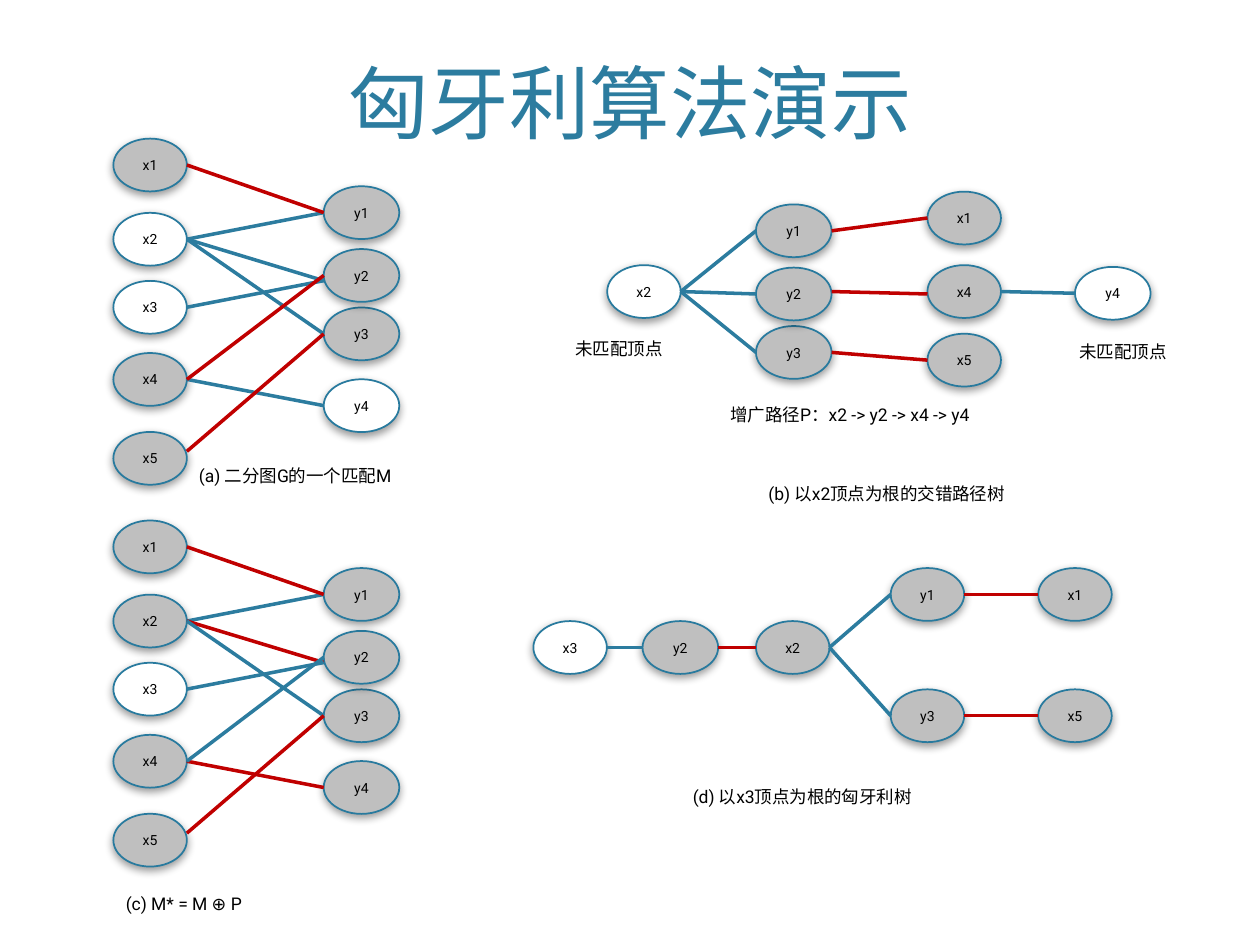
from lxml import etree
from pptx import Presentation
from pptx import util as u
from pptx.dml.color import RGBColor
from pptx.enum import shapes, text
from pptx.oxml import ns

Pt = u.Pt


def colour(value):
    return RGBColor.from_string(value)


class Sketch:
    FONT = "Roboto"
    BLUE, RED, OUTLINE = "2C7C9F", "C00000", "287A9E"
    GREY, WHITE, BLACK = "BFBFBF", "FFFFFF", "000000"
    NODE_HEIGHT = 30.2

    def __init__(self, page):
        self.page = page

    def set_text(self, frame, words, size, ink, align):
        frame.word_wrap = True
        para = frame.paragraphs[0]
        para.text = words
        para.alignment = align
        para.font.name = self.FONT
        para.font.size = Pt(size)
        para.font.color.rgb = colour(ink)

    def label(self, words, left, top, width, height=19.4, size=10,
              ink=BLACK, align=text.PP_ALIGN.LEFT,
              anchor=text.MSO_ANCHOR.TOP):
        box = self.page.shapes.add_textbox(
            Pt(left), Pt(top), Pt(width), Pt(height))
        box.text_frame.vertical_anchor = anchor
        self.set_text(box.text_frame, words, size, ink, align)

    def node(self, name, left, middle, width, free):
        oval = self.page.shapes.add_shape(
            shapes.MSO_SHAPE.OVAL, Pt(left),
            Pt(middle - self.NODE_HEIGHT / 2), Pt(width), Pt(self.NODE_HEIGHT))
        oval.fill.solid()
        oval.fill.fore_color.rgb = colour(self.WHITE if free else self.GREY)
        oval.line.color.rgb = colour(self.OUTLINE)
        oval.line.width = Pt(1)
        self.shadow(oval)
        oval.text_frame.vertical_anchor = text.MSO_ANCHOR.MIDDLE
        self.set_text(oval.text_frame, name, 8, self.BLACK,
                      text.PP_ALIGN.CENTER)

    def shadow(self, shape):
        shape.shadow.inherit = False
        effects = shape._element.spPr.find(ns.qn("a:effectLst"))
        outer = etree.SubElement(
            effects, ns.qn("a:outerShdw"), blurRad=str(Pt(5)),
            dist=str(Pt(2)), dir="5400000", rotWithShape="0")
        tint = etree.SubElement(outer, ns.qn("a:srgbClr"), val=self.BLACK)
        etree.SubElement(tint, ns.qn("a:alpha"), val="40000")

    def edge(self, start, end, matched):
        line = self.page.shapes.add_connector(
            shapes.MSO_CONNECTOR.STRAIGHT, *[Pt(v) for v in (*start, *end)])
        line.line.color.rgb = colour(self.RED if matched else self.BLUE)
        line.line.width = Pt(2)
        etree.SubElement(line._element.spPr, ns.qn("a:effectLst"))

    def graph(self, nodes, edges, free, matched, nudges):
        """Edges run from right side to left side; nudges shift their ends."""
        for name, (left, middle, width) in nodes.items():
            self.node(name, left, middle, width, name in free)
        for pair in edges.split():
            first, last = pair.split("-")
            left, middle, width = nodes[first]
            end_left, end_middle, _ = nodes[last]
            rise, fall = nudges.get(pair, (0, 0))
            self.edge((left + width, middle + rise),
                      (end_left, end_middle + fall), pair in matched.split())


X_WIDTH, Y_WIDTH = 42, 43.2


def bipartite_nodes(shift):
    left = {"x1": 94.3, "x2": 136.7, "x3": 175.6, "x4": 216.8, "x5": 261.9}
    right = {"y4": 231.8, "y3": 190.8, "y2": 157.4, "y1": 121.5}
    return ({n: (64.8, y + shift, X_WIDTH) for n, y in left.items()}
            | {n: (185, y + shift, Y_WIDTH) for n, y in right.items()})


def main():
    deck = Presentation()
    deck.slide_width, deck.slide_height = Pt(720), Pt(540)
    page = deck.slides.add_slide(deck.slide_layouts[6])
    sketch = Sketch(page)

    # Title
    sketch.label("匈牙利算法演示", 43.2, 8.6, 633.6, 80.6, 46, Sketch.BLUE,
                 text.PP_ALIGN.CENTER, text.MSO_ANCHOR.BOTTOM)

    # (a) and (c): the bipartite graph before and after augmenting
    edges = "x2-y1 x2-y2 x3-y2 x2-y3 x4-y4 x1-y1 x4-y2 x5-y3"
    nudges = {"x2-y2": (0, 3), "x3-y2": (0, 3), "x5-y3": (-4, 0)}
    for shift, free, matched in (
            (0, ("x2", "x3", "y4"), "x1-y1 x4-y2 x5-y3"),
            (218.2, ("x3",), "x1-y1 x2-y2 x4-y4 x5-y3")):
        sketch.graph(bipartite_nodes(shift), edges, free, matched, nudges)

    # (b) alternating tree
    sketch.graph(
        {"x2": (347, 166.6, X_WIDTH),
         "y3": (432, 201.4, Y_WIDTH),
         "y2": (432, 168, Y_WIDTH),
         "y1": (432, 131.9, Y_WIDTH),
         "x1": (530, 124.6, X_WIDTH),
         "x4": (530, 166.6, X_WIDTH),
         "x5": (530, 205.8, X_WIDTH),
         "y4": (614.3, 167.6, Y_WIDTH)},
        "x2-y1 x2-y2 x2-y3 y1-x1 y2-x4 y3-x5 x4-y4",
        ("x2", "y4"), "y1-x1 y2-x4 y3-x5", {"y2-x4": (-1.4, 1.4)})

    # (d) Hungarian tree
    sketch.graph(
        {"x3": (304.8, 370, X_WIDTH),
         "y2": (367.2, 370, Y_WIDTH),
         "x2": (432, 370, X_WIDTH),
         "y1": (509, 339.7, X_WIDTH),
         "x1": (593.3, 339.7, X_WIDTH),
         "y3": (509, 409, X_WIDTH),
         "x5": (593.3, 409, X_WIDTH)},
        "x3-y2 y2-x2 x2-y1 x2-y3 y1-x1 y3-x5",
        ("x3",), "y2-x2 y1-x1 y3-x5", {})

    # Captions
    for words, left, top, width in (
            ("(a) 二分图G的一个匹配M", 106.6, 262.1, 136),
            ("(b) 以x2顶点为根的交错路径树", 432, 272.2, 161.3),
            ("未匹配顶点", 321.8, 189.4, 67),
            ("未匹配顶点", 609.8, 191.5, 67),
            ("增广路径P：x2 -> y2 -> x4 -> y4", 410.4, 227.5, 182.9),
            ("(c) M* = M ⊕ P", 64.8, 506.9, 103.7),
            ("(d) 以x3顶点为根的匈牙利树", 388.8, 445.7, 161.3)):
        sketch.label(words, left, top, width)

    deck.save("out.pptx")


if __name__ == "__main__":
    main()
